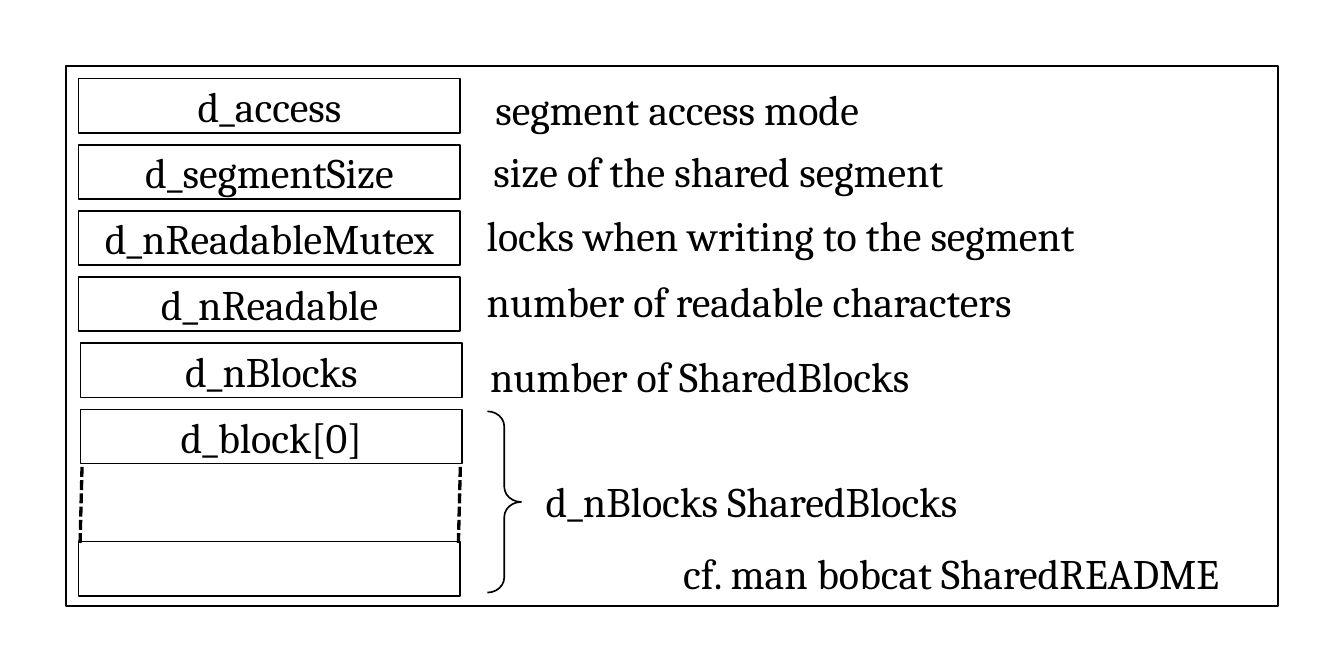
import dataclasses

import lxml.etree
import pptx
import pptx.dml.color
import pptx.enum.dml
import pptx.enum.shapes
import pptx.enum.text
import pptx.oxml.ns
import pptx.util

Cm = pptx.util.Cm
Pt = pptx.util.Pt
RGB = pptx.dml.color.RGBColor
SHAPE = pptx.enum.shapes.MSO_SHAPE
ALIGN = pptx.enum.text.PP_ALIGN
ANCHOR = pptx.enum.text.MSO_ANCHOR


@dataclasses.dataclass(frozen=True)
class Theme:
    ink: RGB = RGB(0, 0, 0)
    paper: RGB = RGB(255, 255, 255)
    font: str = "Cambria"
    text: Pt = Pt(18)
    outline: Pt = Pt(0.71)
    dashes: Pt = Pt(1.42)


THEME = Theme()
FIELD_TOP, FIELD_PITCH, FIELD_W, FIELD_H = 1.19, 1.0, 5.77, 0.82
NOTE_H = 1.12

FIELDS = [
    (0, 1.19, "d_access"),
    (1, 1.19, "d_segmentSize"),
    (2, 1.19, "d_nReadableMutex"),
    (3, 1.19, "d_nReadable"),
    (4, 1.22, "d_nBlocks"),
    (5, 1.22, "d_block[0]"),
    (7, 1.19, ""),
]

NOTES = [
    (7.24, 1.14, 6.96, "segment access mode"),
    (7.21, 2.08, 8.51, "size of the shared segment"),
    (7.11, 3.05, 10.9, "locks when writing to the segment"),
    (7.11, 4.04, 9.88, "number of readable characters"),
    (7.16, 5.18, 7.95, "number of SharedBlocks"),
    (8.0, 7.06, 7.8, "d_nBlocks SharedBlocks"),
    (10.08, 8.15, 9.96, "cf. man bobcat SharedREADME"),
]


def apply_format(target, values):
    for name, value in values.items():
        setattr(target, name, value)


def write(tf, text, align, frame_format):
    apply_format(tf, frame_format)
    p = tf.paragraphs[0]
    p.alignment = align
    r = p.add_run()
    r.text = text
    apply_format(r.font, {"name": THEME.font, "size": THEME.text})
    r.font.color.rgb = THEME.ink


def add_outlined(s, kind, x, y, w, h):
    sp = s.shapes.add_shape(kind, Cm(x), Cm(y), Cm(w), Cm(h))
    sp.shadow.inherit = False
    sp.line.color.rgb = THEME.ink
    sp.line.width = THEME.outline
    return sp


def add_box(s, x, y, w, h, text=""):
    sp = add_outlined(s, SHAPE.RECTANGLE, x, y, w, h)
    sp.fill.solid()
    sp.fill.fore_color.rgb = THEME.paper
    if text:
        write(sp.text_frame, text, ALIGN.CENTER,
              {"word_wrap": False, "vertical_anchor": ANCHOR.MIDDLE})


def add_note(s, x, y, w, text):
    sp = s.shapes.add_textbox(Cm(x), Cm(y), Cm(w), Cm(NOTE_H))
    write(sp.text_frame, text, ALIGN.LEFT,
          {"word_wrap": True, "vertical_anchor": ANCHOR.TOP})


def add_brace(s, x, y, w, h):
    sp = add_outlined(s, SHAPE.RIGHT_BRACE, x, y, w, h)
    sp.fill.background()
    sp.adjustments[0] = 0.45


def add_dashed_line(s, x1, y1, x2, y2):
    line = s.shapes.add_connector(pptx.enum.shapes.MSO_CONNECTOR.STRAIGHT,
                                  Cm(x1), Cm(y1), Cm(x2), Cm(y2))
    line.line.color.rgb = THEME.ink
    apply_format(line.line, {
        "width": THEME.dashes,
        "dash_style": pptx.enum.dml.MSO_LINE.SQUARE_DOT,
    })
    lxml.etree.SubElement(line._element.spPr, pptx.oxml.ns.qn("a:effectLst"))


def main():
    prs = pptx.Presentation()
    apply_format(prs, {"slide_width": Cm(20.32), "slide_height": Cm(10.16)})
    s = prs.slides.add_slide(prs.slide_layouts[6])

    add_box(s, 1, 1, 18.32, 8.16)
    for row, x, text in FIELDS:
        add_box(s, x, FIELD_TOP + row * FIELD_PITCH, FIELD_W, FIELD_H, text)
    for x in (1.24, 6.96):
        add_dashed_line(s, x, 7.06, x - 0.03, 8.23)
    for note in NOTES:
        add_note(s, *note)
    add_brace(s, 7.37, 6.22, 0.51, 2.74)

    prs.save("out.pptx")


if __name__ == "__main__":
    main()
